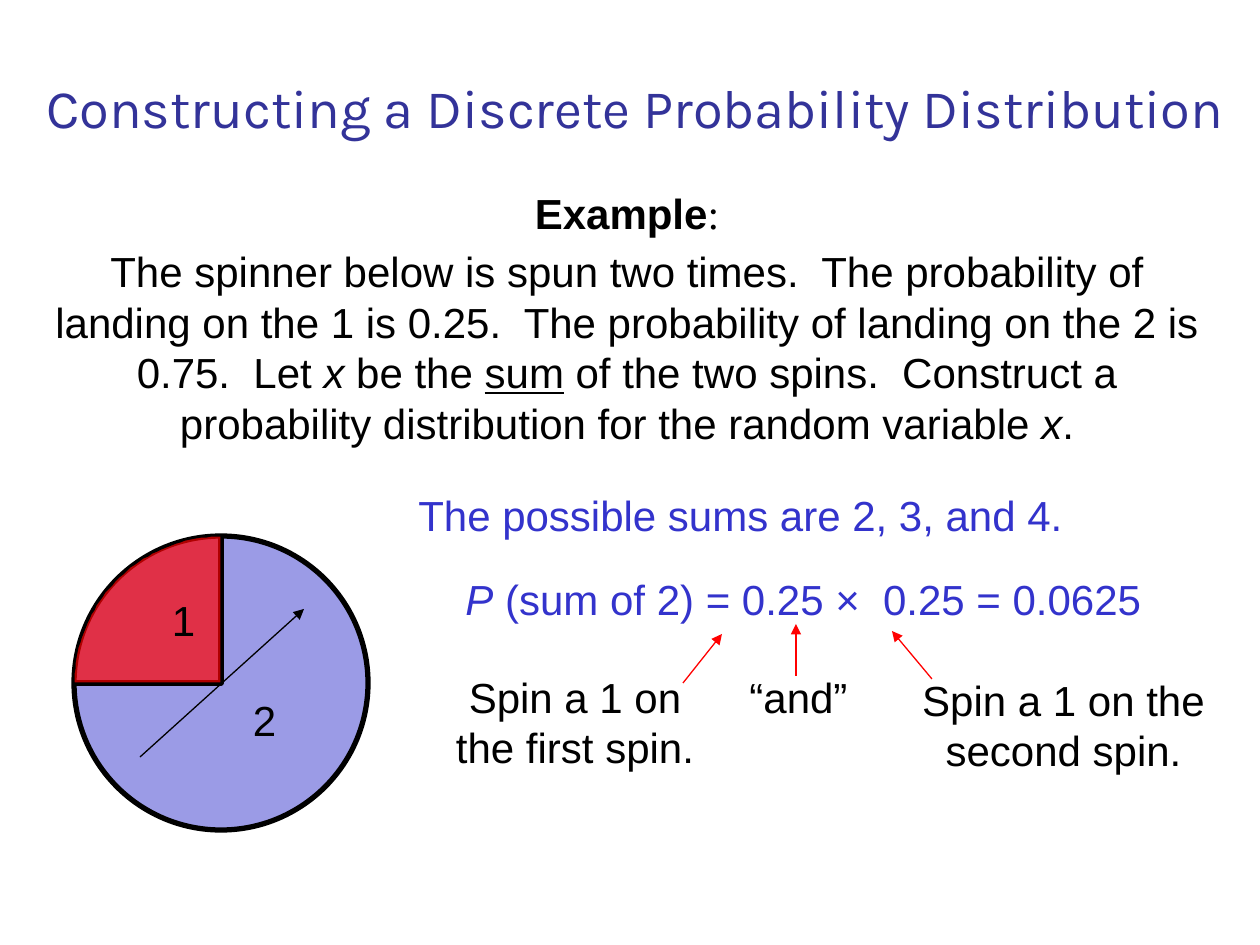
"""Build the slide on constructing a discrete probability distribution."""
from math import cos, radians, sin

from lxml.etree import SubElement
from pptx import Presentation
from pptx.dml.color import RGBColor
from pptx.enum.shapes import MSO_CONNECTOR, MSO_SHAPE
from pptx.enum.text import MSO_ANCHOR, MSO_AUTO_SIZE, PP_ALIGN
from pptx.oxml.ns import qn
from pptx.util import Pt

PX = 914400 / 126
COLORS = {
    name: RGBColor.from_string(value)
    for name, value in {
        "title": "333399",
        "answer": "3333CC",
        "black": "000000",
        "red": "FF0000",
    }.items()
}


def add_text(left, top, width, height, paragraphs, color="black"):
    box = slide.shapes.add_textbox(*(round(v * PX) for v in (left, top, width, height)))
    frame = box.text_frame
    frame.word_wrap = True
    for index, runs in enumerate(paragraphs):
        paragraph = frame.paragraphs[0] if index == 0 else frame.add_paragraph()
        paragraph.alignment = PP_ALIGN.CENTER
        if index:
            paragraph.space_before = Pt(4.8)
        paragraph.font.size = Pt(24)
        paragraph.font.name = "Arial"
        paragraph.font.color.rgb = COLORS[color]
        for text, style in runs:
            run = paragraph.add_run()
            run.text = text
            for attribute, value in style.items():
                setattr(run.font, attribute, value)


def style_shape(shape, width, fill=None, opacity=100):
    shape.shadow.inherit = False
    shape.line.color.rgb = COLORS["black"]
    shape.line.width = Pt(width)
    if fill is None:
        shape.fill.background()
        return
    shape.fill.solid()
    shape.fill.fore_color.rgb = COLORS[fill]
    color = shape.fill._xPr.find(qn("a:solidFill"))[0]
    SubElement(color, qn("a:alpha"), val=str(opacity * 1000))


presentation = Presentation()
presentation.slide_width = round(1260 * PX)
presentation.slide_height = round(945 * PX)
slide = presentation.slides.add_slide(presentation.slide_layouts[5])

title = slide.shapes.title
title.left, title.top, title.width, title.height = (
    round(v * PX) for v in (-32, 10, 1333, 136)
)
title.text_frame.text = "Constructing a Discrete Probability Distribution"
title.text_frame.vertical_anchor = MSO_ANCHOR.BOTTOM
title.text_frame.auto_size = MSO_AUTO_SIZE.NONE
heading = title.text_frame.paragraphs[0]
heading.alignment = PP_ALIGN.CENTER
heading.font.size = Pt(31)
heading.font.name = "Karla"
heading.font.color.rgb = COLORS["title"]

add_text(32, 181, 1190, 240, [
    [("Example", {"bold": True}), (":", {"name": "Times New Roman"})],
    [
        ("The spinner below is spun two times.  The probability of landing on "
         "the 1 is 0.25.  The probability of landing on the 2 is 0.75.  Let ", {}),
        ("x", {"italic": True}),
        (" be the ", {}),
        ("sum", {"underline": True}),
        (" of the two spins.  Construct a probability distribution for the "
         "random variable ", {}),
        ("x", {"italic": True}),
        (".", {}),
    ],
])

center_x, center_y, radius = 221, 683, 147
left, top = center_x - radius, center_y - radius
spinner = slide.shapes.add_shape(
    MSO_SHAPE.OVAL, *(round(v * PX) for v in (left, top, 2 * radius, 2 * radius))
)
style_shape(spinner, 3, "answer", 49)

radii = slide.shapes.build_freeform(left, center_y, scale=PX)
radii.add_line_segments([(center_x, center_y), (center_x, top)], close=False)
style_shape(radii.convert_to_shape(), 3)

add_text(228, 688, 73, 63, [[("2", {})]])

arc = [
    (center_x + radius * cos(radians(angle)), center_y - radius * sin(radians(angle)))
    for angle in range(90, 181, 2)
]
quarter = slide.shapes.build_freeform(center_x, center_y, scale=PX)
quarter.add_line_segments(arc)
style_shape(quarter.convert_to_shape(), 0.75, "red", 69)

add_text(147, 588, 73, 63, [[("1", {})]])

add_text(399, 483, 683, 63, [[("The possible sums are 2, 3, and 4.", {})]], "answer")
add_text(399, 567, 809, 63, [
    [("P", {"italic": True}), (" (sum of 2) = 0.25 ×  0.25 = 0.0625", {})]
], "answer")

for note_left, note_top, note_width, note_height, note in [
    (733, 665, 131, 63, "“and”"),
    (428, 665, 294, 113, "Spin a 1 on the first spin."),
    (885, 668, 357, 113, "Spin a 1 on the second spin."),
]:
    add_text(note_left, note_top, note_width, note_height, [[(note, {})]])

for *ends, color in [
    (140, 757, 304, 609, "black"),
    (796, 676, 796, 624, "red"),
    (683, 683, 722, 634, "red"),
    (932, 679, 892, 631, "red"),
]:
    arrow = slide.shapes.add_connector(
        MSO_CONNECTOR.STRAIGHT, *(round(v * PX) for v in ends)
    )
    arrow.line.color.rgb = COLORS[color]
    arrow.line.width = Pt(0.75)
    SubElement(arrow.line._get_or_add_ln(), qn("a:tailEnd"), type="triangle")
    SubElement(arrow._element.spPr, qn("a:effectLst"))

presentation.save("out.pptx")
